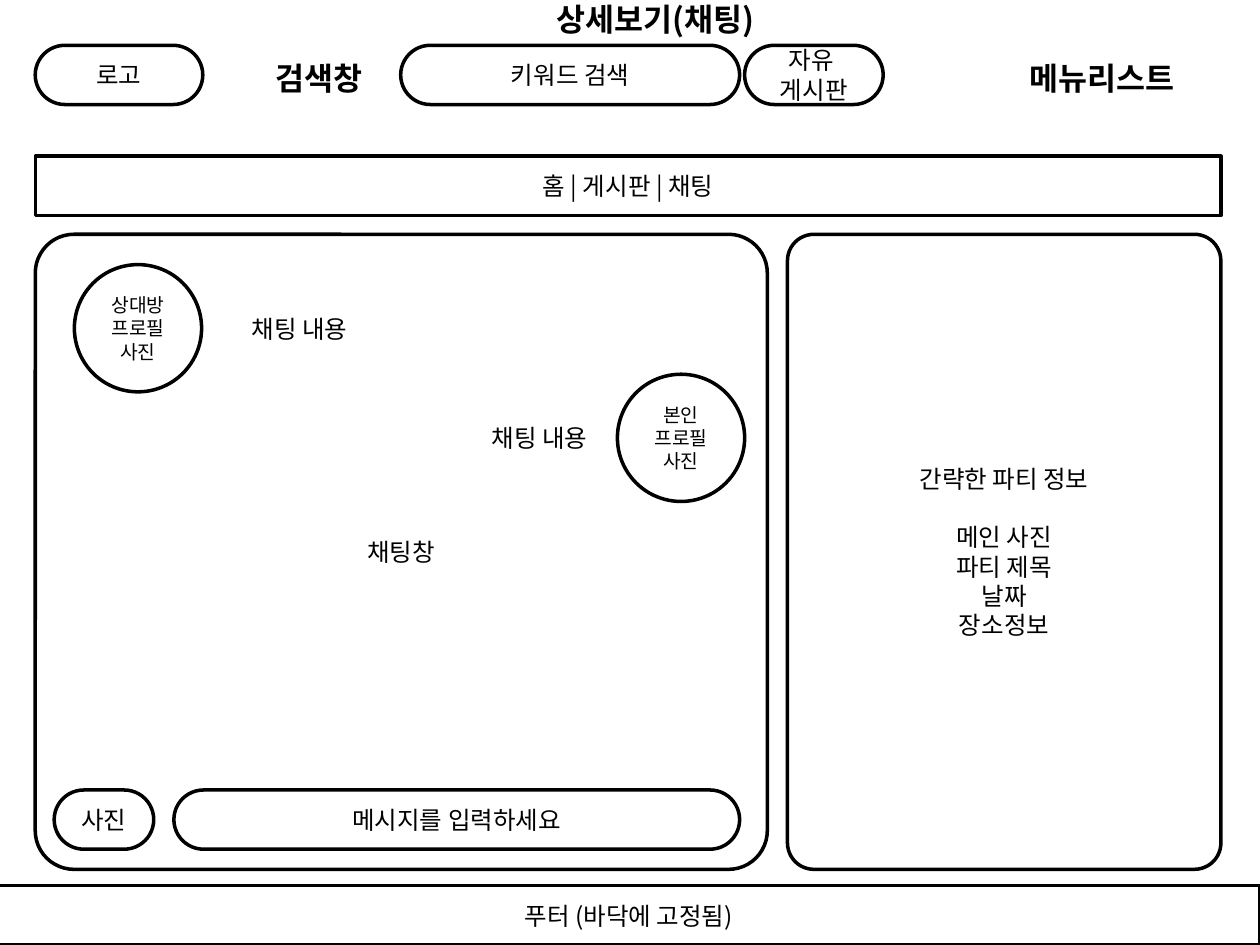
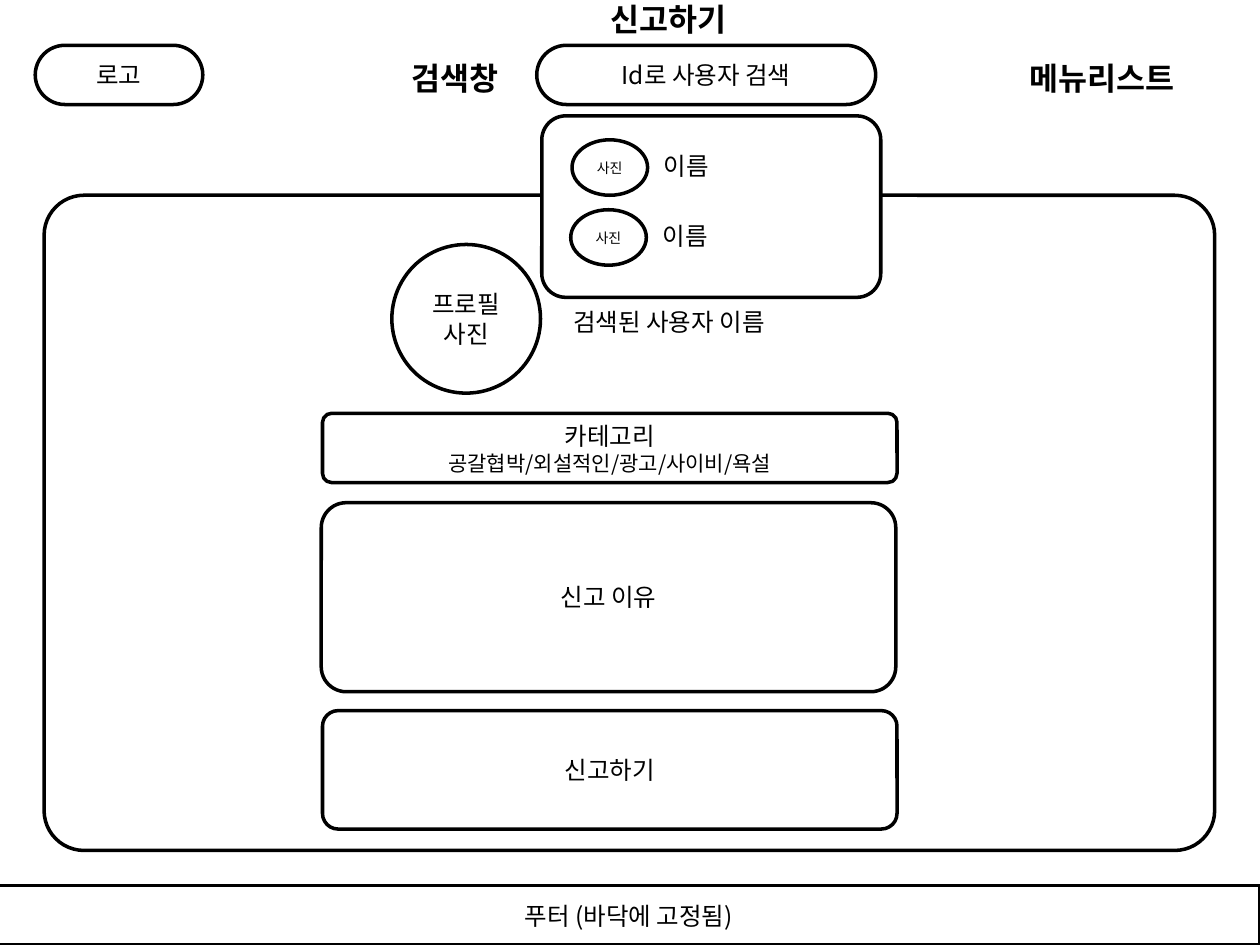
from collections import namedtuple
from lxml import etree
from pptx import Presentation
from pptx import util as u
from pptx.dml import color
from pptx.enum import shapes, text
from pptx.oxml import ns

COLS, ROWS = 100, 75
WIDE, TALL = u.Inches(10), u.Inches(7.5)
FACE = "Noto Sans CJK KR"
INK, PAPER = "000000", "FFFFFF"
BODY, HEAD = 14, 18
LEFT, MID, RIGHT = text.PP_ALIGN.LEFT, text.PP_ALIGN.CENTER, text.PP_ALIGN.RIGHT
ROUND, OVAL = shapes.MSO_SHAPE.ROUNDED_RECTANGLE, shapes.MSO_SHAPE.OVAL
PILL, SOFT, CARD = 0.5, 0.061, 0.132

Box = namedtuple("Box", "x y w h")


def within(box, x, y, w, h):
    return Box(box.x + x, box.y + y, w, h)


def place(box):
    return (round(box.x * WIDE / COLS), round(box.y * TALL / ROWS),
            round(box.w * WIDE / COLS), round(box.h * TALL / ROWS))


def hue(code):
    return color.RGBColor.from_string(code)


def write(frame, lines, size, align, bold=False):
    frame.word_wrap = True
    for i, line in enumerate(lines):
        par = frame.paragraphs[0] if i == 0 else frame.add_paragraph()
        par.text = line
        par.alignment = align
        font = par.font
        font.size, font.bold = u.Pt(size), bold
        font.color.rgb = hue(INK)
        font.name = FACE
        props = par._p.pPr.find(ns.qn("a:defRPr"))
        etree.SubElement(props, ns.qn("a:ea"), typeface=FACE)


def draw(slide, box, lines=(), size=BODY, curve=PILL, kind=ROUND):
    shape = slide.shapes.add_shape(kind, *place(box))
    shape.shadow.inherit = False
    if kind == ROUND:
        shape.adjustments[0] = curve
    shape.fill.solid()
    shape.fill.fore_color.rgb = hue(PAPER)
    shape.line.color.rgb = hue(INK)
    shape.line.width = u.Pt(2)
    shape.text_frame.vertical_anchor = text.MSO_ANCHOR.MIDDLE
    write(shape.text_frame, lines, size, MID)
    return shape


def label(slide, box, line, size=BODY, align=LEFT, bold=False):
    area = slide.shapes.add_textbox(*place(box))
    write(area.text_frame, [line], size, align, bold)


def title(slide, box, line):
    area = slide.shapes.title
    area.left, area.top, area.width, area.height = place(box)
    area.text_frame.auto_size = text.MSO_AUTO_SIZE.NONE
    area.text_frame.vertical_anchor = text.MSO_ANCHOR.TOP
    write(area.text_frame, [line], HEAD, MID, True)


def header(slide, box, find, hint):
    draw(slide, within(box, find, 0, 26.9, box.h), [hint])
    draw(slide, within(box, 0, 0, 13.3, box.h), ["로고"])
    for x, line in ((find - 10.9, "검색창"), (77.9, "메뉴리스트")):
        label(slide, within(box, x, 0.6, 21.7, 4), line, HEAD, bold=True)


def footer(slide, box):
    draw(slide, box, ["푸터 (바닥에 고정됨)"], curve=0)


def chat(slide, box):
    draw(slide, box, ["채팅창"], curve=SOFT)
    draw(slide, within(box, 1.5, 44.1, 7.9, 4.7), ["사진"])
    draw(slide, within(box, 11, 44.1, 44.9, 4.7), ["메시지를 입력하세요"])
    talks = (("상대방", 3.1, 2.4, 16.2, LEFT), ("본인", 46.2, 11.1, 6.6, RIGHT))
    for who, x, y, say, align in talks:
        draw(slide, within(box, x, y, 10.1, 10.1), [who, "프로필", "사진"], 11, kind=OVAL)
        label(slide, within(box, say, y + 3.4, 38.2, 3.4), "채팅 내용", align=align)


def party(slide, box):
    lines = ["간략한 파티 정보", "메인 사진", "파티 제목", "날짜", "장소정보"]
    panel = draw(slide, box, lines, curve=SOFT)
    panel.text_frame.paragraphs[1].space_before = u.Pt(16.5)


def user(slide, box):
    draw(slide, within(box, 0, 0, 11.8, 11.8), ["프로필", "사진"], kind=OVAL)
    label(slide, within(box, 13.4, 4.5, 38.2, 3.4), "검색된 사용자 이름")


def hits(slide, box):
    draw(slide, box, curve=CARD)
    for i in range(2):
        row = within(box, 2.4 - 0.1 * i, 1.9 + 5.55 * i, box.w, 4.4)
        draw(slide, within(row, 0, 0, 6, 4.4), ["사진"], 8, kind=OVAL)
        label(slide, within(row, 6.3, 0.4, 21.7, 3.4), "이름")


def form(slide, box):
    draw(slide, within(box, 0.1, 23.6, 45.6, 9.4), ["신고하기"], curve=CARD)
    draw(slide, within(box, 0, 7.1, 45.6, 15), ["신고 이유"], curve=CARD)
    kinds = draw(slide, within(box, 0.1, 0, 45.6, 5.5),
                 ["카테고리", "공갈협박/외설적인/광고/사이비/욕설"], curve=CARD)
    kinds.text_frame.paragraphs[1].font.size = u.Pt(12)


def page(deck, name, x, find, hint):
    slide = deck.slides.add_slide(deck.slide_layouts[5])
    title(slide, Box(x, -0.5, 68.7, 4), name)
    header(slide, Box(2.8, 3.6, 94.1, 4.7), find, hint)
    footer(slide, Box(-0.2, 70.3, 100.2, 4.7))
    return slide


def talk(deck):
    slide = page(deck, "상세보기(채팅)", 17.7, 29, "키워드 검색")
    draw(slide, Box(59.1, 3.6, 11, 4.7), ["자유 ", "게시판"])
    draw(slide, Box(2.8, 12.4, 94.1, 4.7), ["홈 | 게시판 | 채팅"], curve=0)
    chat(slide, Box(2.8, 18.6, 58.1, 50.4))
    party(slide, Box(62.5, 18.6, 34.4, 50.4))


def report(deck):
    slide = page(deck, "신고하기", 18.7, 39.8, "Id로 사용자 검색")
    draw(slide, Box(3.5, 15.5, 92.9, 52), curve=SOFT)
    user(slide, Box(31.1, 19.4, 51.6, 11.8))
    hits(slide, Box(43, 9.2, 26.9, 14.4))
    form(slide, Box(25.5, 32.8, 45.7, 33))


def main():
    deck = Presentation()
    deck.slide_width, deck.slide_height = WIDE, TALL
    talk(deck)
    report(deck)
    deck.save("out.pptx")


if __name__ == "__main__":
    main()
